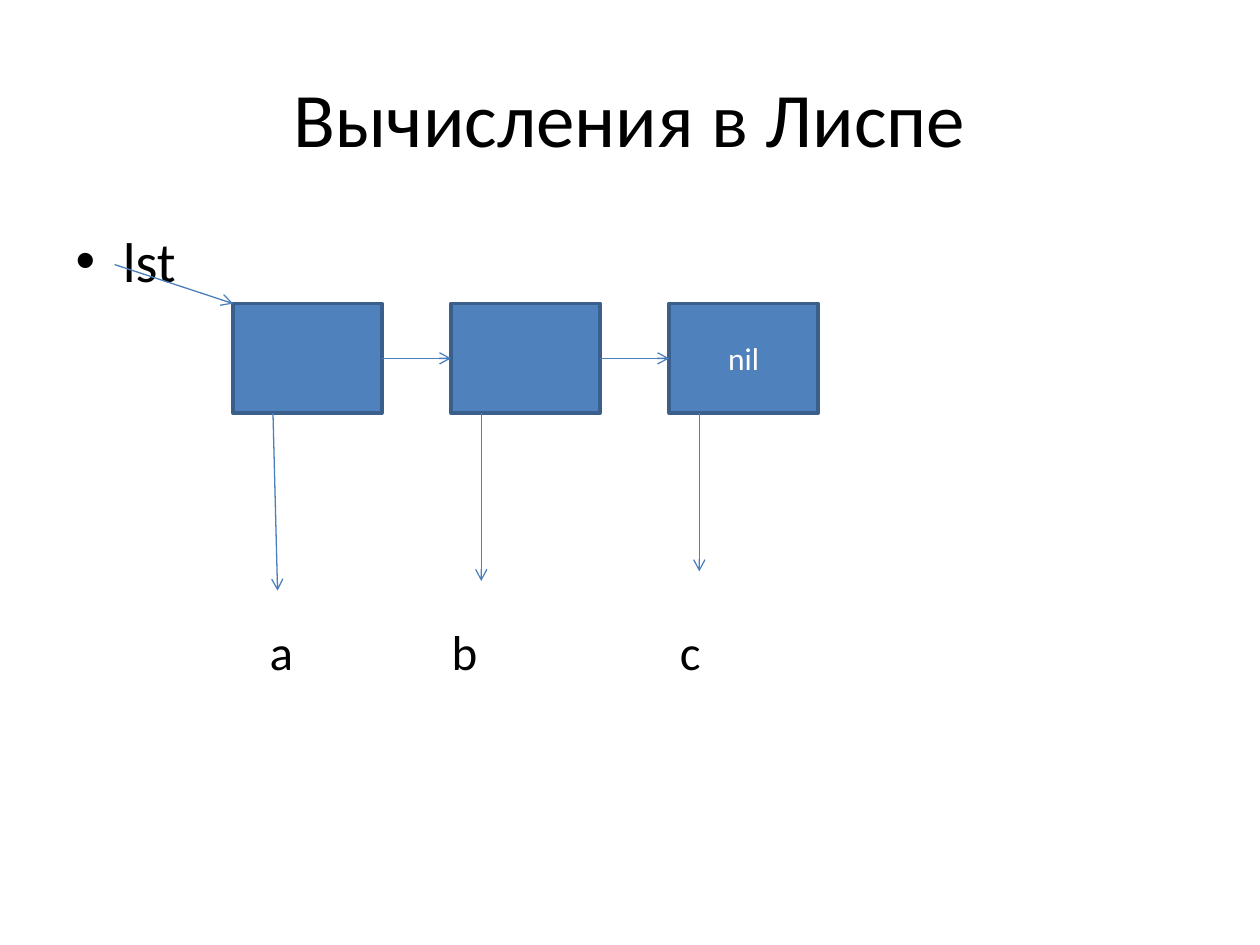
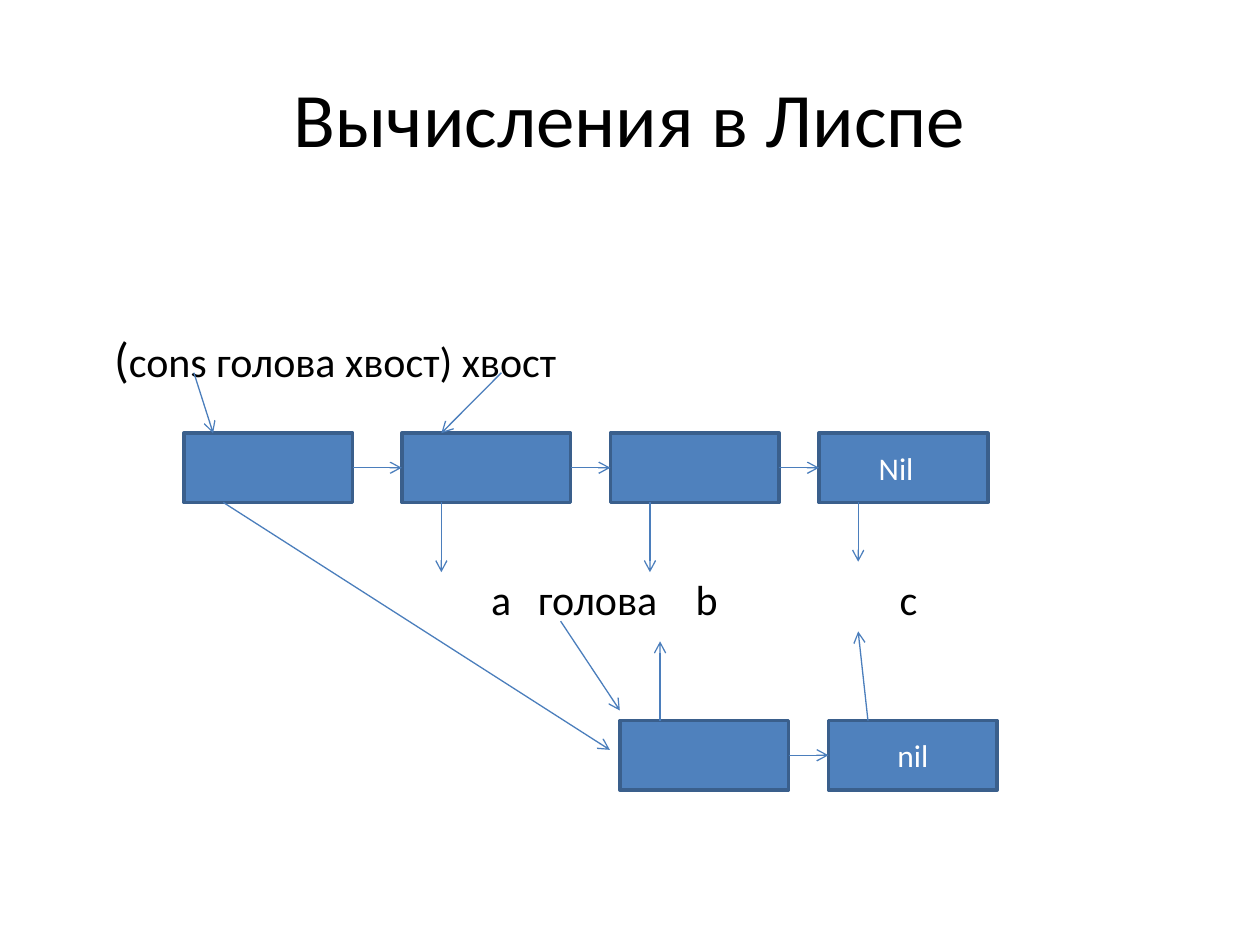
from lxml import etree
from pptx import Presentation
from pptx.dml.color import RGBColor
from pptx.enum.shapes import MSO_CONNECTOR, MSO_SHAPE
from pptx.enum.text import MSO_ANCHOR, PP_ALIGN
from pptx.oxml.ns import qn
from pptx.util import Pt

RECT = MSO_SHAPE.RECTANGLE
STRAIGHT = MSO_CONNECTOR.STRAIGHT
CENTER, LEFT = PP_ALIGN.CENTER, PP_ALIGN.LEFT
MIDDLE, TOP = MSO_ANCHOR.MIDDLE, MSO_ANCHOR.TOP
LEFT_SITE, RIGHT_SITE = 1, 3


def rgb(value):
    return RGBColor.from_string(value)


def add_run(p, text, size=24, color="000000", font="Calibri"):
    r = p.add_run()
    r.text = text
    r.font.size = Pt(size)
    r.font.name = font
    r.font.color.rgb = rgb(color)


class Deck:
    fill = "4F81BD"
    border = "3A5F8C"
    arrow_color = "4B7EBC"
    white = "FFFFFF"

    def __init__(self):
        self.prs = Presentation()
        self.prs.slide_width, self.prs.slide_height = Pt(720), Pt(540)
        self.s = None

    def slide(self, title):
        self.s = self.prs.slides.add_slide(self.prs.slide_layouts[5])
        self.s.background.fill.solid()
        self.s.background.fill.fore_color.rgb = rgb(self.white)
        sp = self.s.shapes.title
        sp.left, sp.top, sp.width, sp.height = Pt(36), Pt(21.6), Pt(648), Pt(90)
        tf = sp.text_frame
        tf.vertical_anchor = MIDDLE
        p = tf.paragraphs[0]
        p.alignment = CENTER
        add_run(p, title, size=44)

    def label(self, x, y, w, *parts, bullet=False):
        sp = self.s.shapes.add_textbox(Pt(x), Pt(y), Pt(w), Pt(36))
        tf = sp.text_frame
        tf.word_wrap = True
        tf.vertical_anchor = TOP
        tf.margin_left = tf.margin_right = tf.margin_top = tf.margin_bottom = 0
        p = tf.paragraphs[0]
        p.alignment = LEFT
        if bullet:
            pPr = p._p.get_or_add_pPr()
            pPr.set("marL", str(Pt(27)))
            pPr.set("indent", str(Pt(-27)))
            etree.SubElement(pPr, qn("a:buFont")).set("typeface", "Arial")
            etree.SubElement(pPr, qn("a:buChar")).set("char", "•")
        for text, size in parts:
            add_run(p, text, size=size)

    def cell(self, x, y, w, h, text="", right_margin=7.2):
        sp = self.s.shapes.add_shape(RECT, Pt(x), Pt(y), Pt(w), Pt(h))
        sp.shadow.inherit = False
        sp.fill.solid()
        sp.fill.fore_color.rgb = rgb(self.fill)
        sp.line.color.rgb = rgb(self.border)
        sp.line.width = Pt(2)
        if text:
            tf = sp.text_frame
            tf.vertical_anchor = MIDDLE
            tf.margin_right = Pt(right_margin)
            p = tf.paragraphs[0]
            p.alignment = CENTER
            add_run(p, text, size=18, color=self.white)
        return sp

    def arrow(self, x1, y1, x2, y2):
        c = self.s.shapes.add_connector(STRAIGHT, Pt(x1), Pt(y1), Pt(x2), Pt(y2))
        c.line.color.rgb = rgb(self.arrow_color)
        c.line.width = Pt(0.75)
        etree.SubElement(c.line._get_or_add_ln(), qn("a:tailEnd")).set("type", "arrow")
        etree.SubElement(c._element.spPr, qn("a:effectLst"))
        return c

    def chain(self, xs, y, w, h, last_text, right_margin=7.2):
        cells = [self.cell(x, y, w, h) for x in xs[:-1]]
        cells.append(self.cell(xs[-1], y, w, h, last_text, right_margin))
        for a, b in zip(cells, cells[1:]):
            c = self.arrow(0, 0, 0, 0)
            c.begin_connect(a, RIGHT_SITE)
            c.end_connect(b, LEFT_SITE)


def list_slide(d):
    d.slide("Вычисления в Лиспе")
    d.label(43.2, 129.6, 200, ("lst", 32), bullet=True)
    for text, x in (("a", 154), ("b", 258), ("c", 388.5)):
        d.label(x, 355, 40, (text, 28))
    y, h = 173.5, 62.6
    d.chain([133.2 + 124.6 * i for i in range(3)], y, 85, h, "nil")
    for x1, x2, y2 in ((156, 158.6, 337.5), (275, 275, 332), (399.6, 399.6, 326.5)):
        d.arrow(x1, y + h, x2, y2)
    d.arrow(65.5, 151.2, 133.2, y)


def cons_slide(d):
    d.slide("Вычисления в Лиспе")
    d.label(65.2, 188, 400, ("(", 28), ("cons голова хвост) хвост", 24))
    for text, x in (("a", 280.6), ("голова", 307.5), ("b", 397.5), ("c", 514)):
        d.label(x, 328, 85, (text, 24))
    w, h = 96.5, 39.6
    top, bottom, pitch = 247.5, 411.8, 119.2
    d.chain([105.1] + [229.6 + pitch * i for i in range(3)], top, w, h, "Nil", 15.4)
    d.chain([354.2 + pitch * i for i in range(2)], bottom, w, h, "nil")
    for x, y2 in ((252.2, 327), (371.4, 327), (490.4, 321)):
        d.arrow(x, top + h, x, y2)
    d.arrow(127.6, top + h, 348.5, 428.5)
    d.arrow(377.2, bottom, 377.2, 366.5)
    d.arrow(496, bottom, 490.4, 360.8)
    d.arrow(110.8, 213, 121.8, top)
    d.arrow(286.5, 213, 252.2, top)
    d.arrow(320.4, 355, 354.2, 406)


def main():
    d = Deck()
    list_slide(d)
    cons_slide(d)
    d.prs.save("out.pptx")


if __name__ == "__main__":
    main()
